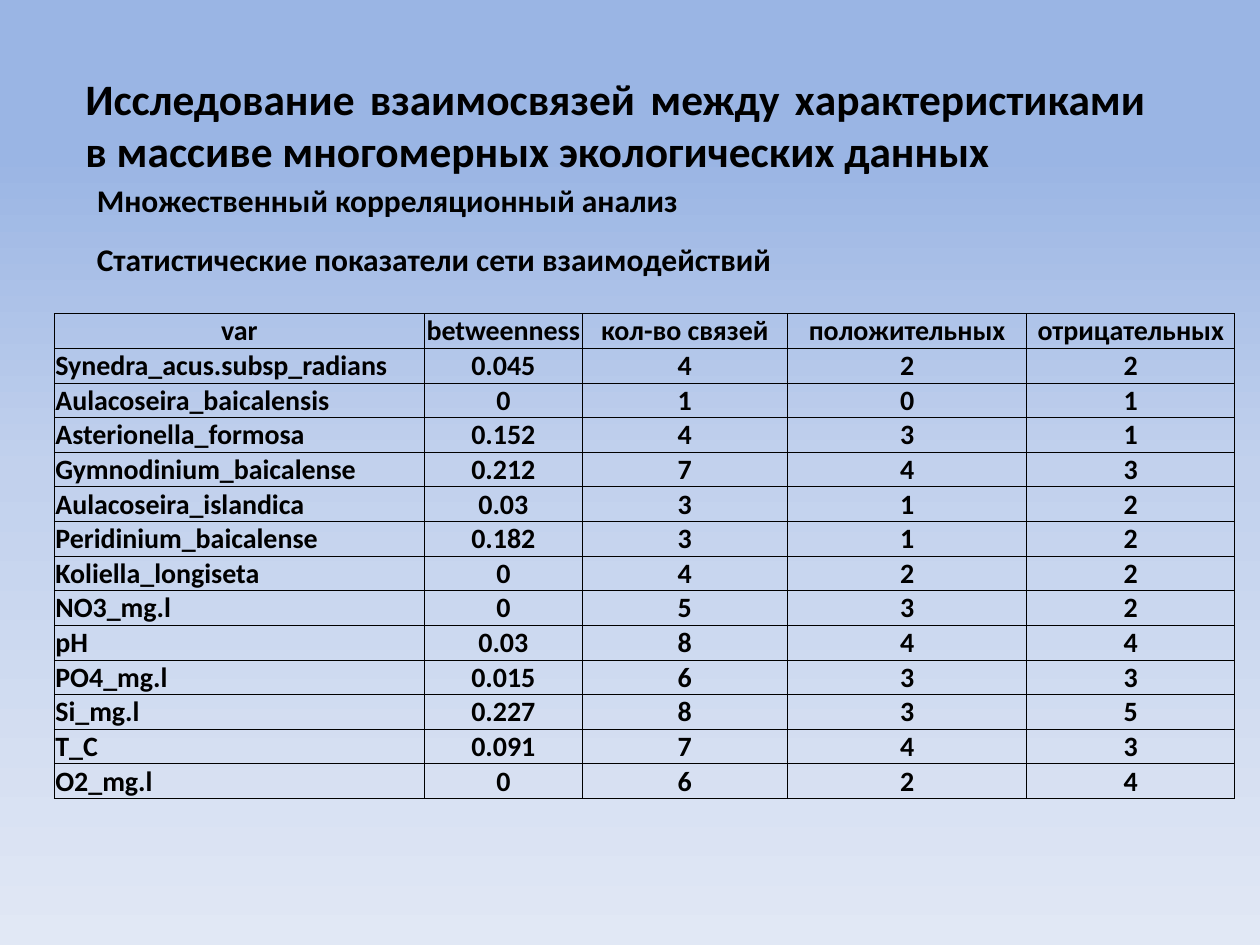
from lxml.etree import SubElement
from pptx import Presentation
from pptx.dml.color import RGBColor
from pptx.enum.text import MSO_ANCHOR as Anchor, PP_ALIGN as Align
from pptx.oxml import parse_xml
from pptx.oxml.ns import nsdecls, qn
from pptx.util import Inches, Pt

COLORS = {"ink": "000000", "sky": "9AB5E4", "haze": "C2D1ED", "mist": "E1E8F5"}
GRADIENT = [(16, "sky"), (50, "haze"), (100, "mist")]
FONT = "Calibri"

TITLE = ("Исследование взаимосвязей между характеристиками "
         "в массиве многомерных экологических данных")
SUBTITLES = [
    ("Множественный корреляционный анализ", 1.39, 4.86, False),
    ("Статистические показатели сети взаимодействий", 1.86, 9.21, True),
]
HEADER = ("var", "betweenness", "кол-во связей", "положительных", "отрицательных")
NETWORK = [
    ("Synedra_acus.subsp_radians", "0.045", 4, 2, 2),
    ("Aulacoseira_baicalensis", "0", 1, 0, 1),
    ("Asterionella_formosa", "0.152", 4, 3, 1),
    ("Gymnodinium_baicalense", "0.212", 7, 4, 3),
    ("Aulacoseira_islandica", "0.03", 3, 1, 2),
    ("Peridinium_baicalense", "0.182", 3, 1, 2),
    ("Koliella_longiseta", "0", 4, 2, 2),
    ("NO3_mg.l", "0", 5, 3, 2),
    ("pH", "0.03", 8, 4, 4),
    ("PO4_mg.l", "0.015", 6, 3, 3),
    ("Si_mg.l", "0.227", 8, 3, 5),
    ("T_C", "0.091", 7, 4, 3),
    ("О2_mg.l", "0", 6, 2, 4),
]
COLUMN_WIDTHS = (2.94, 1.25, 1.63, 1.9, 1.65)
TABLE_LEFT, TABLE_TOP, TABLE_HEIGHT = 0.43, 2.49, 3.85


def write(paragraph, text, size, align=Align.LEFT):
    paragraph.text = str(text)
    paragraph.alignment = align
    font = paragraph.font
    font.name, font.size, font.bold = FONT, Pt(size), True
    font.color.rgb = RGBColor.from_string(COLORS["ink"])


def add_text(slide, text, size, left, top, width, height, wrap=True, align=Align.LEFT):
    box = slide.shapes.add_textbox(*map(Inches, (left, top, width, height)))
    box.text_frame.word_wrap = wrap
    paragraph = box.text_frame.paragraphs[0]
    write(paragraph, text, size, align)
    return paragraph


def paint_background(slide):
    fill = slide.background.fill
    fill.gradient()
    fill.gradient_angle = 270
    stops = slide.background._cSld.find(".//" + qn("a:gsLst"))
    stops.clear()
    for position, color in GRADIENT:
        stop = SubElement(stops, qn("a:gs"), pos=str(position * 1000))
        SubElement(stop, qn("a:srgbClr"), val=COLORS[color])


def outline(cell):
    for side in ("lnL", "lnR", "lnT", "lnB"):
        cell._tc.get_or_add_tcPr().append(parse_xml(
            f'<a:{side} {nsdecls("a")} w="{Pt(0.5)}"><a:solidFill>'
            f'<a:srgbClr val="{COLORS["ink"]}"/></a:solidFill></a:{side}>'))


def add_network_table(slide):
    rows = [HEADER, *NETWORK]
    table = slide.shapes.add_table(
        len(rows), len(HEADER), Inches(TABLE_LEFT), Inches(TABLE_TOP),
        Inches(sum(COLUMN_WIDTHS)), Inches(TABLE_HEIGHT)).table
    table.first_row = table.horz_banding = False
    for column, width in zip(table.columns, COLUMN_WIDTHS):
        column.width = Inches(width)
    for r, values in enumerate(rows):
        for c, value in enumerate(values):
            cell = table.cell(r, c)
            cell.margin_left = cell.margin_right = Inches(0.01)
            cell.margin_top, cell.margin_bottom = Pt(0.3), 0
            cell.vertical_anchor = Anchor.BOTTOM
            outline(cell)
            cell.fill.background()
            is_name = r > 0 and c == 0
            write(cell.text_frame.paragraphs[0], value, 16,
                  Align.LEFT if is_name else Align.CENTER)


def main():
    deck = Presentation()
    deck.slide_width, deck.slide_height = Inches(10), Inches(7.5)
    slide = deck.slides.add_slide(deck.slide_layouts[6])
    paint_background(slide)
    title = add_text(slide, TITLE, 24.8, 0.2, 0.52, 9, 0.87, align=Align.JUSTIFY)
    title.space_before = Pt(5)
    title._p.get_or_add_pPr().set("marL", str(Inches(0.38)))
    for text, top, width, wrap in SUBTITLES:
        add_text(slide, text, 18, 0.67, top, width, 0.4, wrap)
    add_network_table(slide)
    deck.save("out.pptx")


if __name__ == "__main__":
    main()
